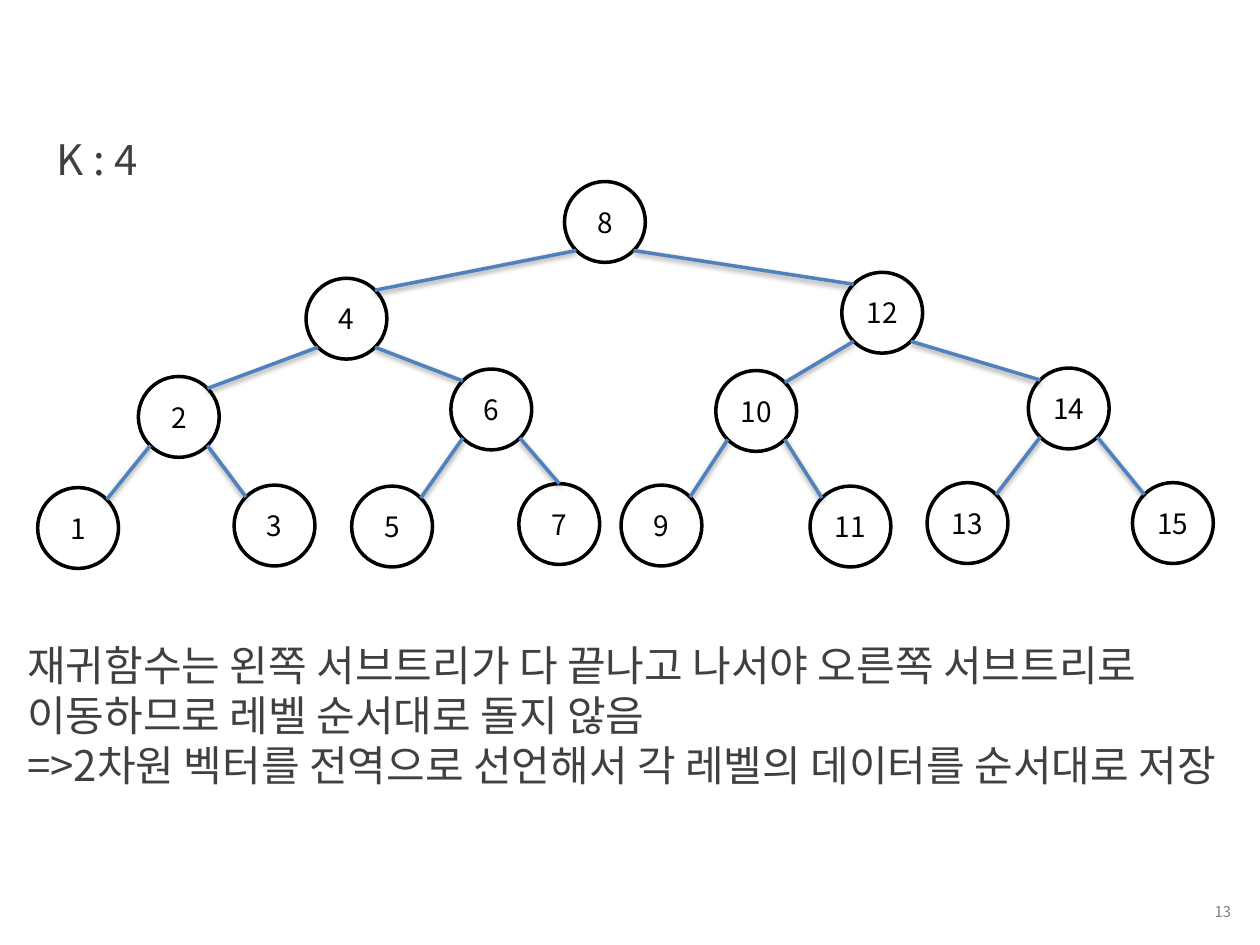
"""Build the slide on the level order of a binary search tree."""
from lxml.etree import SubElement
from pptx import Presentation
from pptx.dml.color import RGBColor
from pptx.enum.shapes import MSO_CONNECTOR, MSO_SHAPE
from pptx.enum.text import MSO_ANCHOR, PP_ALIGN
from pptx.oxml.ns import qn
from pptx.util import Cm, Pt

FONT = "Noto Sans CJK KR"
BLACK = RGBColor(0x00, 0x00, 0x00)
BLUE = RGBColor(0x4F, 0x81, 0xBD)
DARK_GRAY = RGBColor(0x40, 0x40, 0x40)
GRAY = RGBColor(0x80, 0x80, 0x80)

DIAMETER = 1.63
NEAR, FAR = 0.24, 1.39
LEVEL_ORDER = [
    (8, 11.38, 3.66),
    (4, 6.17, 5.61), (12, 16.97, 5.49),
    (2, 2.79, 7.59), (6, 9.09, 7.44), (10, 14.43, 7.47), (14, 20.73, 7.42),
    (1, 0.76, 9.83), (3, 4.72, 9.78), (5, 7.09, 9.8), (7, 10.46, 9.75),
    (9, 12.52, 9.78), (11, 16.33, 9.8), (13, 18.69, 9.73), (15, 22.83, 9.73),
]


def write(paragraph, text, size, color, align=PP_ALIGN.LEFT):
    paragraph.alignment = align
    run = paragraph.add_run()
    run.text = text
    run.font.size = Pt(size)
    run.font.name = FONT
    run.font.color.rgb = color
    SubElement(run.font._element, qn("a:ea"), typeface=FONT)


def add_text(left, top, width, height):
    frame = slide.shapes.add_textbox(Cm(left), Cm(top), Cm(width), Cm(height)).text_frame
    frame.word_wrap = True
    return frame


presentation = Presentation()
presentation.slide_width, presentation.slide_height = Cm(25.4), Cm(19.05)
slide = presentation.slides.add_slide(presentation.slide_layouts[6])

page_number = add_text(19.71, 18.03, 5.36, 0.69)
page_number.vertical_anchor = MSO_ANCHOR.MIDDLE
write(page_number.paragraphs[0], "13", 8.5, GRAY, PP_ALIGN.RIGHT)

for index, (key, x, y) in enumerate(LEVEL_ORDER):
    node = slide.shapes.add_shape(MSO_SHAPE.OVAL, Cm(x), Cm(y), Cm(DIAMETER), Cm(DIAMETER))
    node.shadow.inherit = False
    node.fill.background()
    node.line.color.rgb = BLACK
    node.line.width = Pt(2)
    label = node.text_frame
    label.margin_left = label.margin_right = 0
    label.vertical_anchor = MSO_ANCHOR.MIDDLE
    write(label.paragraphs[0], str(key), 16, BLACK, PP_ALIGN.CENTER)

    if index == 0:
        continue
    parent_key, parent_x, parent_y = LEVEL_ORDER[(index - 1) // 2]
    start_x, end_x = (NEAR, FAR) if key < parent_key else (FAR, NEAR)
    end_y = NEAR
    if key == 7:
        end_x, end_y = DIAMETER / 2, 0
    branch = slide.shapes.add_connector(
        MSO_CONNECTOR.STRAIGHT,
        Cm(parent_x + start_x), Cm(parent_y + FAR), Cm(x + end_x), Cm(y + end_y))
    branch.line.color.rgb = BLUE
    branch.line.width = Pt(2)
    effects = SubElement(branch._element.spPr, qn("a:effectLst"))
    shadow = SubElement(effects, qn("a:outerShdw"), blurRad="40000", dist="20000",
                        dir="5400000", rotWithShape="0")
    shadow_color = SubElement(shadow, qn("a:srgbClr"), val=str(BLACK))
    SubElement(shadow_color, qn("a:alpha"), val="38000")

explanation = add_text(0.3, 12.78, 25.1, 3.33)
level_count = add_text(0.89, 2.57, 3.07, 1.27)
for frame, lines in (
    (explanation, [
        "재귀함수는 왼쪽 서브트리가 다 끝나고 나서야 오른쪽 서브트리로 이동하므로 레벨 순서대로 돌지 않음",
        "=>2차원 벡터를 전역으로 선언해서 각 레벨의 데이터를 순서대로 저장",
    ]),
    (level_count, ["K : 4"]),
):
    for number, line in enumerate(lines):
        paragraph = frame.add_paragraph() if number else frame.paragraphs[0]
        paragraph.line_spacing = Pt(28.6)
        write(paragraph, line, 24, DARK_GRAY)

presentation.save("out.pptx")
